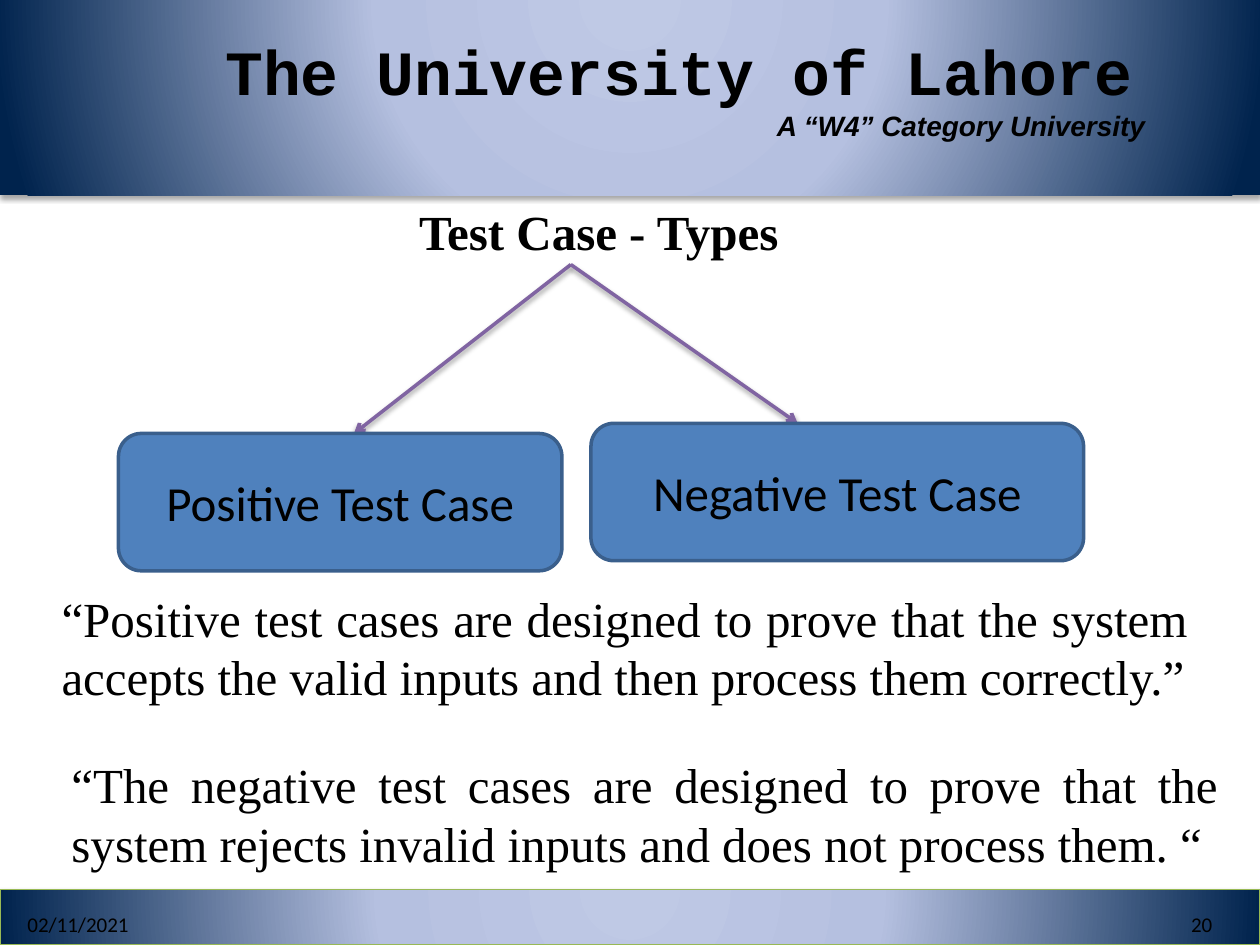
from lxml import etree
from pptx import Presentation
from pptx.dml.color import RGBColor
from pptx.enum.shapes import MSO_CONNECTOR, MSO_SHAPE
from pptx.enum.text import MSO_ANCHOR, MSO_AUTO_SIZE, PP_ALIGN
from pptx.oxml import parse_xml
from pptx.oxml.ns import nsdecls, qn
from pptx.util import Pt

RECT, ROUND = MSO_SHAPE.RECTANGLE, MSO_SHAPE.ROUNDED_RECTANGLE
LINE = MSO_CONNECTOR.STRAIGHT
TOP, MID = MSO_ANCHOR.TOP, MSO_ANCHOR.MIDDLE
LEFT, MIDDLE, RIGHT, JUST = PP_ALIGN.LEFT, PP_ALIGN.CENTER, PP_ALIGN.RIGHT, PP_ALIGN.JUSTIFY

THEME = {
    "ink": RGBColor.from_string("000000"),
    "box": RGBColor.from_string("4F81BD"),
    "edge": RGBColor.from_string("3A5F8C"),
    "arrow": RGBColor.from_string("8064A2"),
    "trim": RGBColor.from_string("98B955"),
    "band": [(0, "BFC9E5"), (40, "B5C0E0"), (100, "00234D")],
    "serif": "Times New Roman", "sans": "Calibri",
    "mono": "Courier New", "plain": "Arial",
    "name": 36, "body": 28, "motto": 16, "foot": 12,
}


def shade(shape, alpha, dist):
    """Give a shape or connector a soft shadow straight below it."""
    props = shape._element.spPr
    for old in props.findall(qn("a:effectLst")):
        props.remove(old)
    props.append(parse_xml(
        f'<a:effectLst {nsdecls("a")}><a:outerShdw blurRad="{Pt(3.1)}" dist="{Pt(dist)}" '
        f'dir="5400000" rotWithShape="0"><a:srgbClr val="000000"><a:alpha val="{alpha * 1000}"/>'
        '</a:srgbClr></a:outerShdw></a:effectLst>'))


def write(shape, rows, anchor=TOP):
    """Fill a shape with rows of (text, align, font, size, bold, italic)."""
    frame = shape.text_frame
    frame.word_wrap = True
    frame.auto_size = MSO_AUTO_SIZE.NONE
    frame.vertical_anchor = anchor
    frame.text = "\n".join(row[0] for row in rows)
    for para, (_, align, face, size, bold, slant) in zip(frame.paragraphs, rows):
        para.alignment = align
        para.space_before = Pt(0)
        font = para.runs[0].font
        font.name, font.size = THEME[face], Pt(THEME[size])
        font.bold, font.italic = bold, slant
        font.color.rgb = THEME["ink"]


deck = Presentation()
deck.slide_width, deck.slide_height = Pt(720), Pt(540)
slide = deck.slides.add_slide(deck.slide_layouts[5])
shapes = slide.shapes

# Header and footer bands
stops = "".join(f'<a:gs pos="{pos * 1000}"><a:srgbClr val="{tint}"/></a:gs>'
                for pos, tint in THEME["band"])
for top, high, trim in [(0, 111.6, False), (508.3, 31.7, True)]:
    band = shapes.add_shape(RECT, Pt(0), Pt(top), Pt(720), Pt(high))
    band._element.spPr.find(qn("a:prstGeom")).addnext(parse_xml(
        f'<a:gradFill {nsdecls("a")} rotWithShape="1"><a:gsLst>{stops}</a:gsLst>'
        '<a:path path="circle"><a:fillToRect l="50000" t="-80000" r="50000" b="180000"/>'
        '</a:path></a:gradFill>'))
    if trim:
        band.line.color.rgb = THEME["trim"]
        band.line.width = Pt(0.75)
    else:
        band.line.fill.background()
    shade(band, 35, 1.8)

# University name and motto
head = shapes.add_textbox(Pt(121.7), Pt(15.1), Pt(544.3), Pt(90))
write(head, [("The University of Lahore", LEFT, "mono", "name", True, False),
             ("A “W4” Category University ", RIGHT, "plain", "motto", True, True)])

# Date and page number
for text, left, align in [("02/11/2021", 8.6, LEFT), ("20", 532.1, RIGHT)]:
    note = shapes.add_textbox(Pt(left), Pt(513.4), Pt(167.8), Pt(28.8))
    write(note, [(text, align, "sans", "foot", False, False)], MID)

# Arrows from the title to the two types
for x, y in [(202.3, 247.7), (455.8, 241.9)]:
    arrow = shapes.add_connector(LINE, Pt(326.2), Pt(151.2), Pt(x), Pt(y))
    arrow.line.color.rgb = THEME["arrow"]
    arrow.line.width = Pt(2)
    etree.SubElement(arrow._element.spPr.find(qn("a:ln")), qn("a:tailEnd"), type="arrow")
    shade(arrow, 38, 1.6)

# Type boxes
for text, left, top, wide in [("Positive Test Case", 67.7, 247.7, 253.4),
                              ("Negative Test Case", 337.7, 241.9, 281.5)]:
    box = shapes.add_shape(ROUND, Pt(left), Pt(top), Pt(wide), Pt(78.5))
    box.shadow.inherit = False
    box.fill.solid()
    box.fill.fore_color.rgb = THEME["box"]
    box.line.color.rgb = THEME["edge"]
    box.line.width = Pt(2)
    write(box, [(text, MIDDLE, "sans", "body", False, False)], MID)

# Definitions
for text, left, top, wide in [
    ("“Positive test cases are designed to prove that the system accepts "
     "the valid inputs and then process them correctly.”", 28.1, 332.6, 658.1),
    ("“The negative test cases are designed to prove that the system rejects "
     "invalid inputs and does not process them. “", 33.8, 427.7, 669.6),
]:
    quote = shapes.add_textbox(Pt(left), Pt(top), Pt(wide), Pt(74.2))
    write(quote, [(text, JUST, "serif", "body", False, False)], MID)

# Title
title = shapes.title
title.left, title.top, title.width, title.height = Pt(-14.4), Pt(111.6), Pt(720), Pt(41)
write(title, [("Test Case - Types ", MIDDLE, "serif", "body", True, False)])

deck.save("out.pptx")
